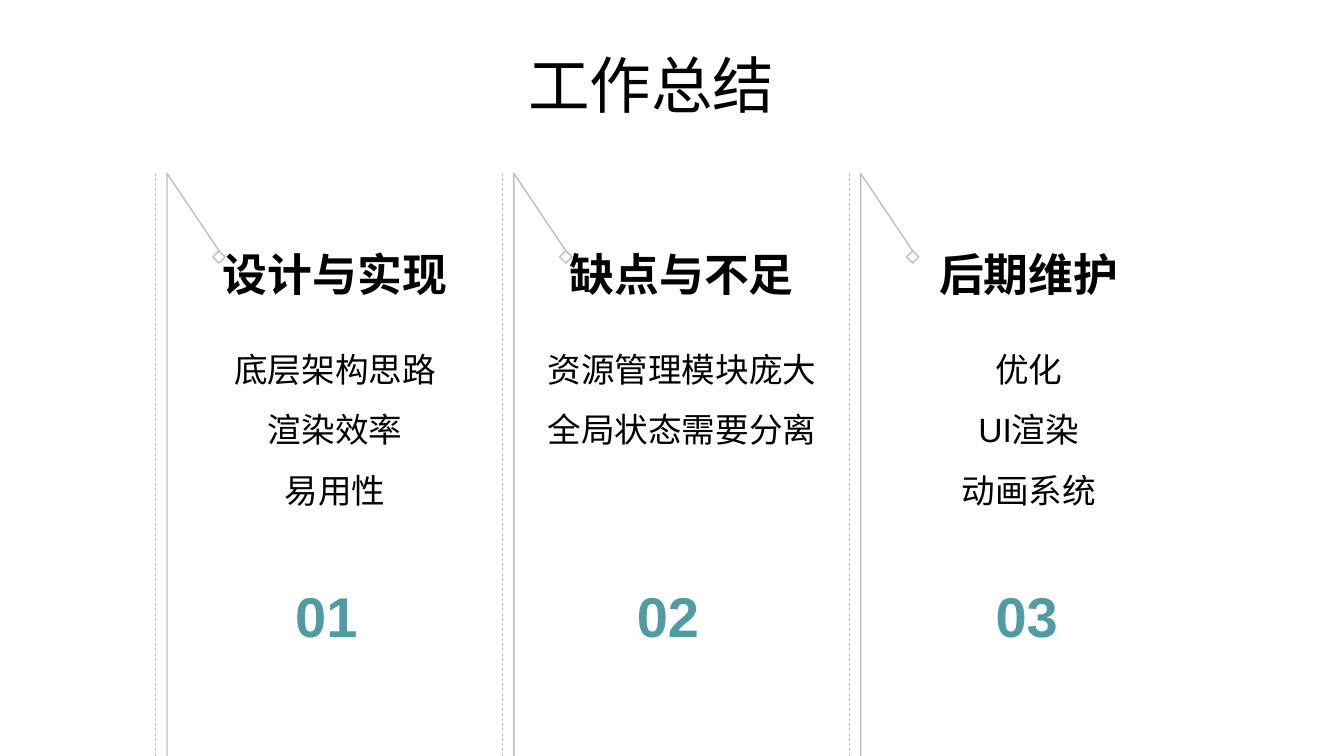
from dataclasses import dataclass

from pptx import Presentation
from pptx import util as u
from pptx.dml.color import RGBColor
from pptx.enum import dml, shapes, text
from pptx.oxml.ns import qn


@dataclass(frozen=True)
class Theme:
    font: str = "Arial"
    ink: str = "000000"
    accent: str = "529BA0"
    rule: str = "BFBFBF"
    title_size: int = 44
    number_size: int = 40
    heading_size: int = 32
    body_size: int = 24


SLIDE_WIDTH, SLIDE_HEIGHT = 33.87, 19.05
COLUMN_LEFT, COLUMN_PITCH = 4.21, 8.74
RULE_TOP, MARKER_TOP, MARKER_SIZE = 4.37, 6.32, 0.31
SLANT_WIDTH, DASH_GAP = 1.31, 0.29
TEXT_INSET, TEXT_WIDTH = 0.36, 7.75

# heading, points, number, offset of the number from the column's rule
COLUMNS = [
    ("设计与实现", ["底层架构思路", "渲染效率", "易用性"], "01", 2.98),
    ("缺点与不足", ["资源管理模块庞大", "全局状态需要分离"], "02", 2.85),
    ("后期维护", ["优化", "UI渲染", "动画系统"], "03", 3.15),
]


class SlideBuilder:
    def __init__(self, slide, theme):
        self.slide = slide
        self.theme = theme

    def style_line(self, line, width):
        line.color.rgb = RGBColor.from_string(self.theme.rule)
        line.width = u.Pt(width)

    def style_outline(self, shape):
        shape.shadow.inherit = False
        shape.fill.background()
        self.style_line(shape.line, 1)

    def fill_text(self, frame, lines, size, spacing, color=None, bold=False,
                  align=text.PP_ALIGN.CENTER):
        frame.word_wrap = True
        for index, line in enumerate(lines):
            paragraph = frame.add_paragraph() if index else frame.paragraphs[0]
            paragraph.text = line
            paragraph.alignment = align
            paragraph.line_spacing = spacing
            font = paragraph.font
            font.name, font.size, font.bold = self.theme.font, u.Pt(size), bold
            font.color.rgb = RGBColor.from_string(color or self.theme.ink)

    def title(self, words):
        title = self.slide.shapes.title
        title.left, title.top = u.Cm(1.3), u.Cm(0.74)
        title.width, title.height = u.Cm(30.23), u.Cm(2.97)
        frame = title.text_frame
        frame.auto_size = text.MSO_AUTO_SIZE.NONE
        frame.vertical_anchor = text.MSO_ANCHOR.MIDDLE
        self.fill_text(frame, [words], self.theme.title_size, 0.9)

    def text_box(self, left, top, width, height, lines, size, spacing, **style):
        box = self.slide.shapes.add_textbox(
            u.Cm(left), u.Cm(top), u.Cm(width), u.Cm(height))
        self.fill_text(box.text_frame, lines, size, spacing, **style)

    def folded_rule(self, left):
        """Upright line from the slide's foot that folds down to the marker."""
        builder = self.slide.shapes.build_freeform(
            u.Cm(left), u.Cm(SLIDE_HEIGHT))
        builder.add_line_segments(
            [(u.Cm(left), u.Cm(RULE_TOP)),
             (u.Cm(left + SLANT_WIDTH), u.Cm(MARKER_TOP))], close=False)
        self.style_outline(builder.convert_to_shape())

    def dashed_rule(self, left):
        connector = self.slide.shapes.add_connector(
            shapes.MSO_CONNECTOR.STRAIGHT,
            u.Cm(left), u.Cm(RULE_TOP), u.Cm(left), u.Cm(SLIDE_HEIGHT))
        self.style_line(connector.line, 0.5)
        connector.line.dash_style = dml.MSO_LINE.DASH
        properties = connector.element.find(qn("p:spPr"))
        properties.append(properties.makeelement(qn("a:effectLst"), {}))

    def marker(self, center):
        diamond = self.slide.shapes.add_shape(
            shapes.MSO_SHAPE.DIAMOND, u.Cm(center - MARKER_SIZE / 2),
            u.Cm(MARKER_TOP), u.Cm(MARKER_SIZE), u.Cm(MARKER_SIZE))
        self.style_outline(diamond)

    def column(self, left, heading, points, number, number_offset):
        theme = self.theme
        self.folded_rule(left)
        self.dashed_rule(left - DASH_GAP)
        self.marker(left + SLANT_WIDTH)
        self.text_box(left + number_offset, 14.02, 2.8, 2.49, [number],
                      theme.number_size, 1.3, color=theme.accent, bold=True,
                      align=text.PP_ALIGN.LEFT)
        self.text_box(left + TEXT_INSET, 5.69, TEXT_WIDTH, 2.03, [heading],
                      theme.heading_size, 1.3, bold=True)
        self.text_box(left + TEXT_INSET, 8.15, TEXT_WIDTH,
                      0.25 + 1.54 * len(points), points, theme.body_size, 1.5)


def main():
    presentation = Presentation()
    presentation.slide_width = u.Cm(SLIDE_WIDTH)
    presentation.slide_height = u.Cm(SLIDE_HEIGHT)
    title_only = presentation.slide_layouts[5]
    builder = SlideBuilder(presentation.slides.add_slide(title_only), Theme())
    builder.title("工作总结")
    for index, column in enumerate(COLUMNS):
        builder.column(COLUMN_LEFT + index * COLUMN_PITCH, *column)
    presentation.save("out.pptx")


if __name__ == "__main__":
    main()
